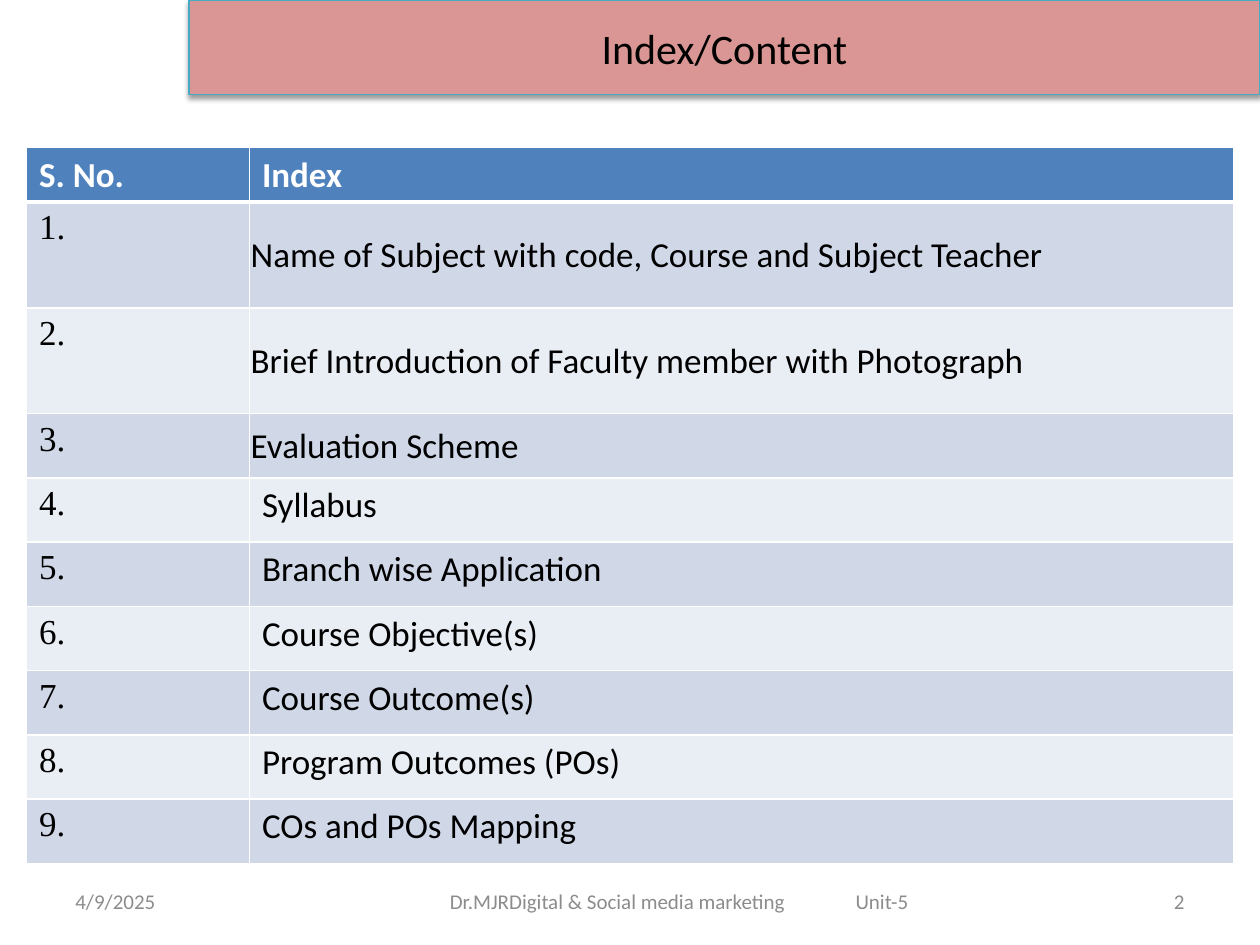
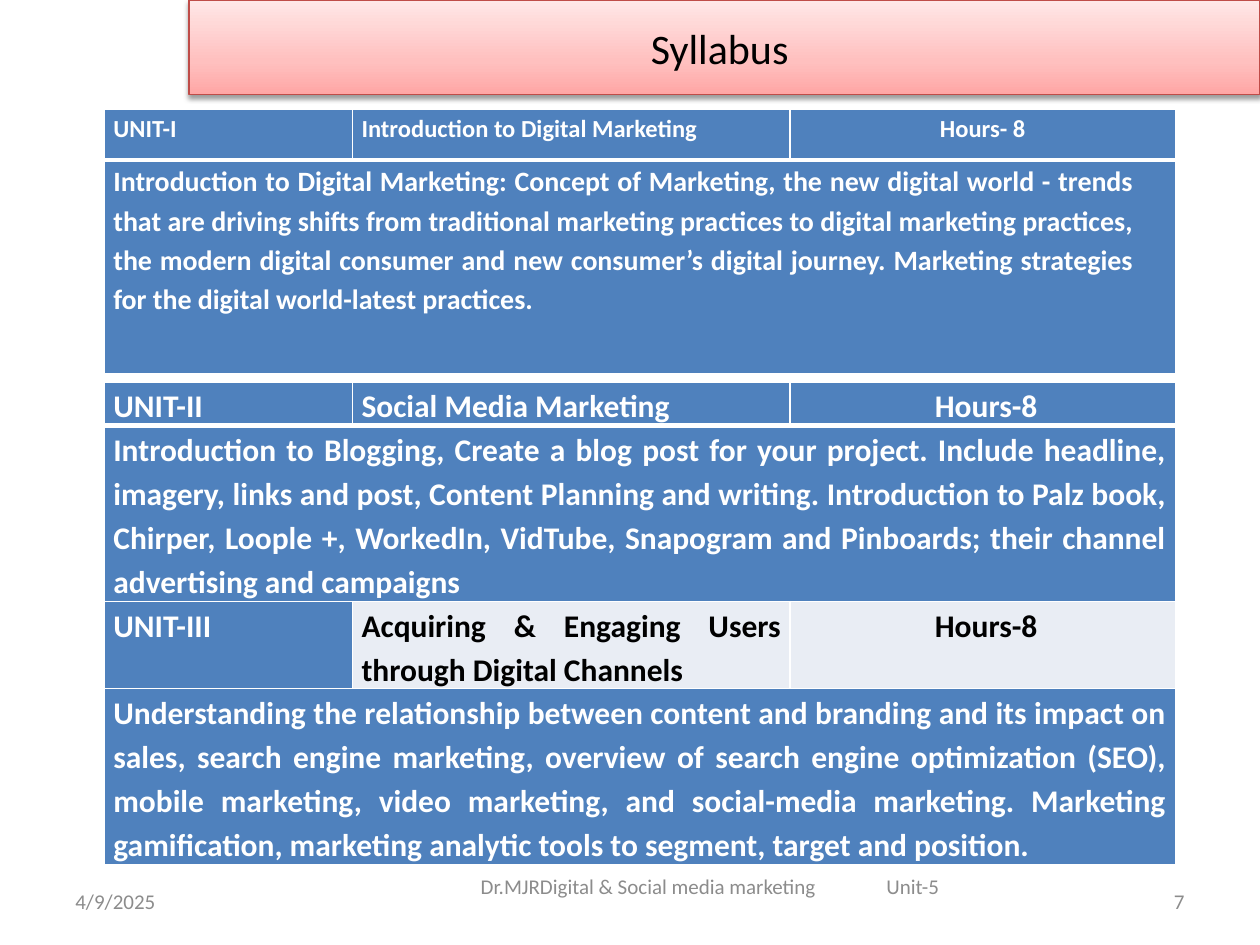
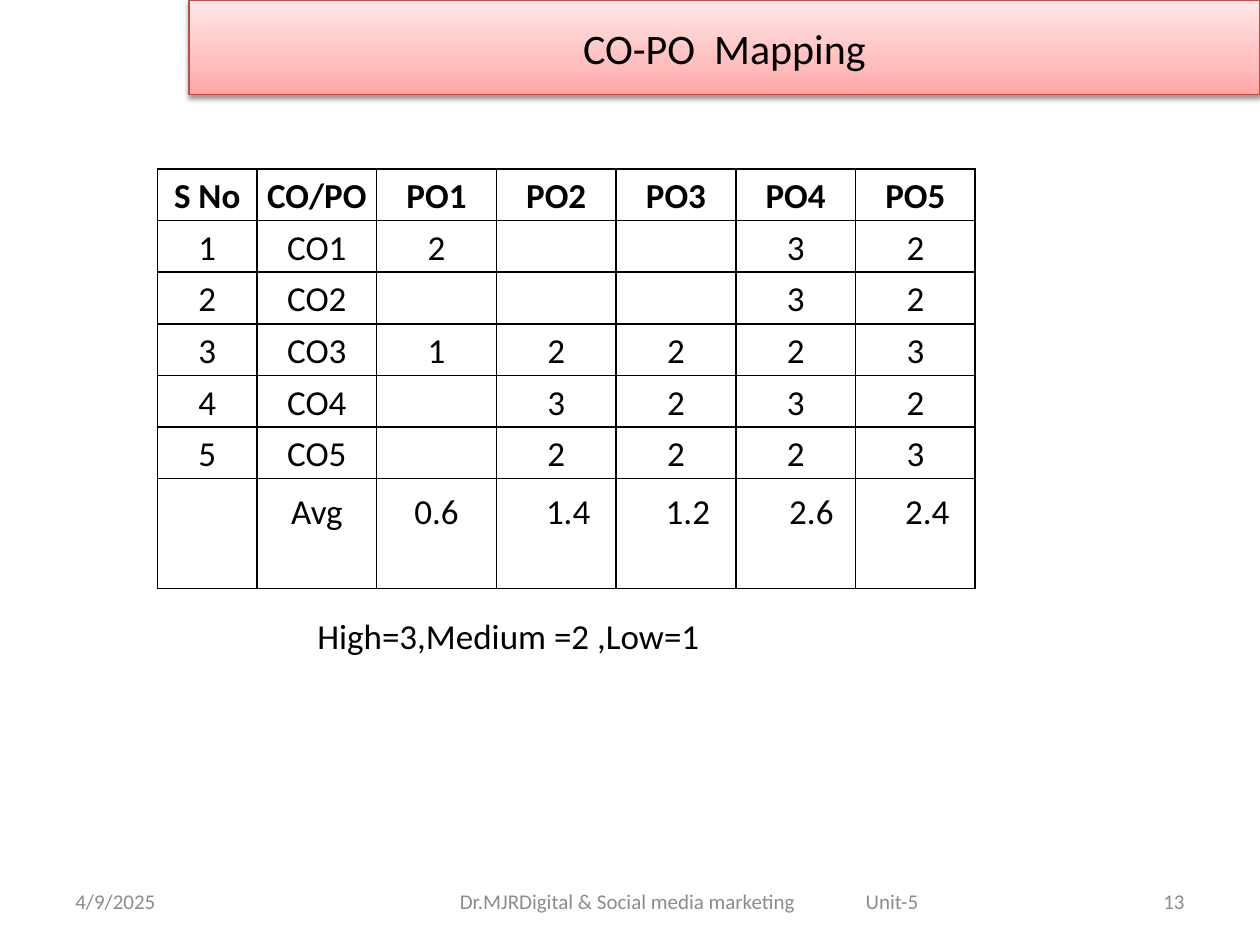
from dataclasses import dataclass, replace
from typing import Optional

import pptx
import pptx.chart.data
import pptx.dml.color
import pptx.enum.shapes
import pptx.enum.text
import pptx.oxml
import pptx.oxml.ns
import pptx.util

Inches = pptx.util.Inches
Pt = pptx.util.Pt
RGBColor = pptx.dml.color.RGBColor
ALIGN = pptx.enum.text.PP_ALIGN
ANCHOR = pptx.enum.text.MSO_ANCHOR

BLACK = RGBColor(0x00, 0x00, 0x00)
WHITE = RGBColor(0xFF, 0xFF, 0xFF)
FOOTER_GREY = RGBColor(0x8C, 0x8C, 0x8C)
ROSE = RGBColor(0xD9, 0x96, 0x94)
TEAL = RGBColor(0x46, 0xAA, 0xC5)
RED = RGBColor(0xBF, 0x4C, 0x48)
BLUE = RGBColor(0x4F, 0x81, 0xBD)
BAND_DARK = RGBColor(0xD0, 0xD8, 0xE8)
BAND_LIGHT = RGBColor(0xE9, 0xED, 0xF4)
PINK_STOPS = (
    (0, RGBColor(0xFF, 0xA6, 0xA5)),
    (35, RGBColor(0xFF, 0xC0, 0xBF)),
    (100, RGBColor(0xFF, 0xE7, 0xE7)),
)

BODY_FONT = "Calibri"
NUMBER_FONT = "Times New Roman"
FOOTER_TOP = 6.95
FOOTER_TEXT_WIDTH = 3.7
UNIT_TAB = 3.22
NAMESPACE = pptx.oxml.ns.nsdecls("a")


@dataclass(frozen=True)
class TextStyle:
    size: float = 20
    color: RGBColor = BLACK
    bold: bool = False
    font: str = BODY_FONT
    align: ALIGN = ALIGN.LEFT
    spacing: Optional[float] = None


@dataclass(frozen=True)
class Cell:
    text: str
    style: TextStyle
    fill: Optional[RGBColor] = None
    insets: tuple[float, float, float, float] = (0.1, 0.05, 0.1, 0.05)
    anchor: ANCHOR = ANCHOR.TOP
    span: int = 1


@dataclass(frozen=True)
class Grid:
    left: float
    top: float
    columns: list[float]
    heights: list[float]
    rows: list[list[Cell]]
    border: RGBColor = WHITE
    header_rule: float = 1


@dataclass(frozen=True)
class Page:
    title: str
    number: str
    footer_left: float
    footer_width: float
    footer_top: float = FOOTER_TOP
    band_fill: Optional[RGBColor] = None
    band_line: RGBColor = RED


FOOTER = TextStyle(size=12, color=FOOTER_GREY)
TITLE = TextStyle(size=24, align=ALIGN.CENTER)
TIGHT = (0.07, 0, 0.07, 0)


def write(paragraph, text: str, style: TextStyle) -> None:
    paragraph.alignment = style.align
    if style.spacing:
        paragraph.line_spacing = style.spacing
    if text:
        run = paragraph.add_run()
        run.text = text
        run.font.name = style.font
        run.font.size = Pt(style.size)
        run.font.bold = style.bold
        run.font.color.rgb = style.color


def add_text(slide, left: float, top: float, width: float, height: float,
             text: str, style: TextStyle, anchor: ANCHOR = ANCHOR.MIDDLE):
    box = slide.shapes.add_textbox(Inches(left), Inches(top), Inches(width), Inches(height))
    frame = box.text_frame
    frame.word_wrap = True
    frame.vertical_anchor = anchor
    write(frame.paragraphs[0], text, style)
    return frame


def add_footer(slide, page: Page) -> None:
    add_text(slide, 0.5, FOOTER_TOP, 2.33, 0.4, "4/9/2025", FOOTER)
    course = add_text(slide, page.footer_left, page.footer_top, page.footer_width, 0.4, "", FOOTER)
    course.margin_left = Inches((page.footer_width - FOOTER_TEXT_WIDTH) / 2)
    course.margin_right = 0
    paragraph = course.paragraphs[0]
    paragraph._p.get_or_add_pPr().append(pptx.oxml.parse_xml(
        f'<a:tabLst {NAMESPACE}><a:tab pos="{Inches(UNIT_TAB)}" algn="l"/></a:tabLst>'))
    write(paragraph, "Dr.MJRDigital & Social media marketing\tUnit-5", FOOTER)
    add_text(slide, 7.17, FOOTER_TOP, 2.33, 0.4, page.number, replace(FOOTER, align=ALIGN.RIGHT))


def add_title_band(slide, page: Page) -> None:
    band = slide.shapes.add_shape(pptx.enum.shapes.MSO_SHAPE.RECTANGLE,
                                  Inches(1.5), 0, Inches(8.5), Inches(0.75))
    properties = band._element.spPr
    if page.band_fill is not None:
        band.fill.solid()
        band.fill.fore_color.rgb = page.band_fill
    else:
        stops = "".join(f'<a:gs pos="{position * 1000}"><a:srgbClr val="{color}"/></a:gs>'
                        for position, color in PINK_STOPS)
        properties.insert(2, pptx.oxml.parse_xml(
            f'<a:gradFill {NAMESPACE} rotWithShape="1"><a:gsLst>{stops}</a:gsLst>'
            '<a:lin ang="16200000" scaled="1"/></a:gradFill>'))
    band.line.color.rgb = page.band_line
    band.line.width = Pt(0.75)
    band.shadow.inherit = False
    properties.find(pptx.oxml.ns.qn("a:effectLst")).append(pptx.oxml.parse_xml(
        f'<a:outerShdw {NAMESPACE} blurRad="{Pt(3.1)}" dist="{Pt(1.6)}" dir="5400000" '
        'rotWithShape="0"><a:srgbClr val="000000"><a:alpha val="38000"/></a:srgbClr>'
        '</a:outerShdw>'))
    band.text_frame.word_wrap = True
    band.text_frame.vertical_anchor = ANCHOR.MIDDLE
    write(band.text_frame.paragraphs[0], page.title, TITLE)


def set_borders(table_cell, color: RGBColor, top: float, bottom: float) -> None:
    properties = table_cell._tc.get_or_add_tcPr()
    widths = {"lnL": 1, "lnR": 1, "lnT": top, "lnB": bottom}
    for position, (side, width) in enumerate(widths.items()):
        properties.insert(position, pptx.oxml.parse_xml(
            f'<a:{side} {NAMESPACE} w="{Pt(width)}"><a:solidFill>'
            f'<a:srgbClr val="{color}"/></a:solidFill></a:{side}>'))


def fill_cell(table_cell, cell: Cell) -> None:
    if cell.fill is None:
        table_cell.fill.background()
    else:
        table_cell.fill.solid()
        table_cell.fill.fore_color.rgb = cell.fill
    left, top, right, bottom = cell.insets
    table_cell.margin_left, table_cell.margin_top = Inches(left), Inches(top)
    table_cell.margin_right, table_cell.margin_bottom = Inches(right), Inches(bottom)
    table_cell.vertical_anchor = cell.anchor
    write(table_cell.text_frame.paragraphs[0], cell.text, cell.style)


def add_grid(slide, grid: Grid) -> None:
    table = slide.shapes.add_table(
        len(grid.heights), len(grid.columns), Inches(grid.left), Inches(grid.top),
        Inches(sum(grid.columns)), Inches(sum(grid.heights))).table
    table.first_row = False
    table.horz_banding = False
    for column, width in zip(table.columns, grid.columns):
        column.width = Inches(width)
    for row, height in zip(table.rows, grid.heights):
        row.height = Inches(height)
    for row_index, cells in enumerate(grid.rows):
        for column_index, cell in enumerate(cells):
            table_cell = table.cell(row_index, column_index)
            if cell.span > 1:
                table_cell.merge(table.cell(row_index, column_index + cell.span - 1))
            fill_cell(table_cell, cell)
        for column_index in range(len(grid.columns)):
            set_borders(table.cell(row_index, column_index), grid.border,
                        grid.header_rule if row_index == 1 else 1,
                        grid.header_rule if row_index == 0 else 1)


def index_grid() -> Grid:
    topics = [
        "Name of Subject with code, Course and Subject Teacher",
        "Brief Introduction of Faculty member with Photograph",
        "Evaluation Scheme",
        "Syllabus",
        "Branch wise Application",
        "Course Objective(s)",
        "Course Outcome(s)",
        "Program Outcomes (POs)",
        "COs and POs Mapping",
    ]
    heading = TextStyle(color=WHITE, bold=True)
    rows = [[Cell(label, heading, BLUE) for label in ("S. No.", "Index")]]
    for number, topic in enumerate(topics, 1):
        fill = BAND_DARK if number % 2 else BAND_LIGHT
        topic_cell = Cell(topic, TextStyle(), fill)
        if number <= 3:
            topic_cell = replace(topic_cell, insets=(0.01, 0.01, 0.01, 0), anchor=ANCHOR.MIDDLE)
        rows.append([Cell(f"{number}.", TextStyle(font=NUMBER_FONT), fill), topic_cell])
    return Grid(0.21, 1.17, [1.77, 7.81], [0.43] + [0.84] * 2 + [0.51] * 7, rows, header_rule=3)


def unit_heading(unit: str, topic: str, hours: str, size: float,
                 detail_color: RGBColor = WHITE, detail_fill: RGBColor = BLUE) -> list[Cell]:
    style = TextStyle(size, WHITE, True, spacing=1.15)
    detail = replace(style, color=detail_color)
    return [
        Cell(unit, style, BLUE, TIGHT),
        Cell(topic, replace(detail, align=ALIGN.JUSTIFY), detail_fill, TIGHT),
        Cell(hours, replace(detail, align=ALIGN.CENTER), detail_fill, TIGHT),
    ]


def unit_summary(text: str, size: float, right_inset: float = 0.07) -> list[Cell]:
    style = TextStyle(size, WHITE, True, align=ALIGN.JUSTIFY, spacing=1.15)
    return [Cell(text, style, BLUE, (0.07, 0, right_inset, 0), span=3)]


def syllabus_grids() -> list[Grid]:
    columns = [1.97, 3.47, 3.06]
    first_unit = [
        unit_heading("UNIT-I", "Introduction to Digital Marketing", "Hours- 8", 14),
        unit_summary(
            "Introduction to Digital Marketing: Concept of Marketing, the new digital world - "
            "trends that are driving shifts from traditional marketing practices to digital "
            "marketing practices, the modern digital consumer and new consumer’s digital "
            "journey. Marketing strategies for the digital world-latest practices.", 16, 0.33),
    ]
    later_units = [
        unit_heading("UNIT-II", "Social Media Marketing", " Hours-8", 18),
        unit_summary(
            "Introduction to Blogging, Create a blog post for your project. Include headline, "
            "imagery, links and post, Content Planning and writing. Introduction to Palz "
            "book, Chirper, Loople +, WorkedIn, VidTube, Snapogram and Pinboards; their "
            "channel advertising and campaigns", 18),
        unit_heading("UNIT-III", "Acquiring & Engaging Users through Digital Channels",
                     " Hours-8", 18, BLACK, BAND_LIGHT),
        unit_summary(
            "Understanding the relationship between content and branding and its impact on "
            "sales, search engine marketing, overview of search engine optimization (SEO), "
            "mobile marketing, video marketing, and social-media marketing. Marketing "
            "gamification, marketing analytic tools to segment, target and position.", 18),
    ]
    return [
        Grid(0.83, 0.87, columns, [0.4, 1.7], first_unit, header_rule=3),
        Grid(0.83, 3.03, columns, [0.33, 1.4, 0.69, 1.4], later_units, header_rule=3),
    ]


def mapping_grid() -> Grid:
    scores = [
        ["2", "", "", "3", "2"],
        ["", "", "", "3", "2"],
        ["1", "2", "2", "2", "3"],
        ["", "3", "2", "3", "2"],
        ["", "2", "2", "2", "3"],
    ]
    averages = [("", 0.1), ("Avg", 0.1), ("0.6", 0.1), ("1.4", 0.29),
                ("1.2", 0.29), ("2.6", 0.35), ("2.4", 0.29)]
    style = TextStyle(align=ALIGN.CENTER, spacing=1.15)
    heading = replace(style, bold=True)
    labels = ["S No", "CO/PO"] + [f"PO{number}" for number in range(1, 6)]
    rows = [[Cell(label, heading, insets=TIGHT) for label in labels]]
    for number, values in enumerate(scores, 1):
        rows.append([Cell(text, style, insets=TIGHT)
                     for text in [str(number), f"CO{number}", *values]])
    rows.append([Cell(text, style, insets=(left, 0.05, 0.1, 0.05)) for text, left in averages])
    return Grid(1.25, 1.34, [0.79] + [0.95] * 6, [0.41] * 6 + [0.87], rows, border=BLACK)


def add_page(deck, page: Page, grids: list[Grid]):
    slide = deck.slides.add_slide(deck.slide_layouts[6])
    add_footer(slide, page)
    add_title_band(slide, page)
    for grid in grids:
        add_grid(slide, grid)
    return slide


def main() -> None:
    deck = pptx.Presentation()
    deck.slide_width = Inches(10)
    deck.slide_height = Inches(7.5)
    add_page(deck, Page("Index/Content", "2", 1.92, 7, band_fill=ROSE, band_line=TEAL),
             [index_grid()])
    add_page(deck, Page("Syllabus ", "7", 3.08, 5.17, footer_top=6.83), syllabus_grids())
    mapping = add_page(deck, Page("CO-PO  Mapping", "13", 2.75, 5.5), [mapping_grid()])
    add_text(mapping, 2.42, 4.83, 5.03, 0.74, "High=3,Medium =2 ,Low=1", TextStyle(), ANCHOR.TOP)
    deck.save("out.pptx")


if __name__ == "__main__":
    main()
